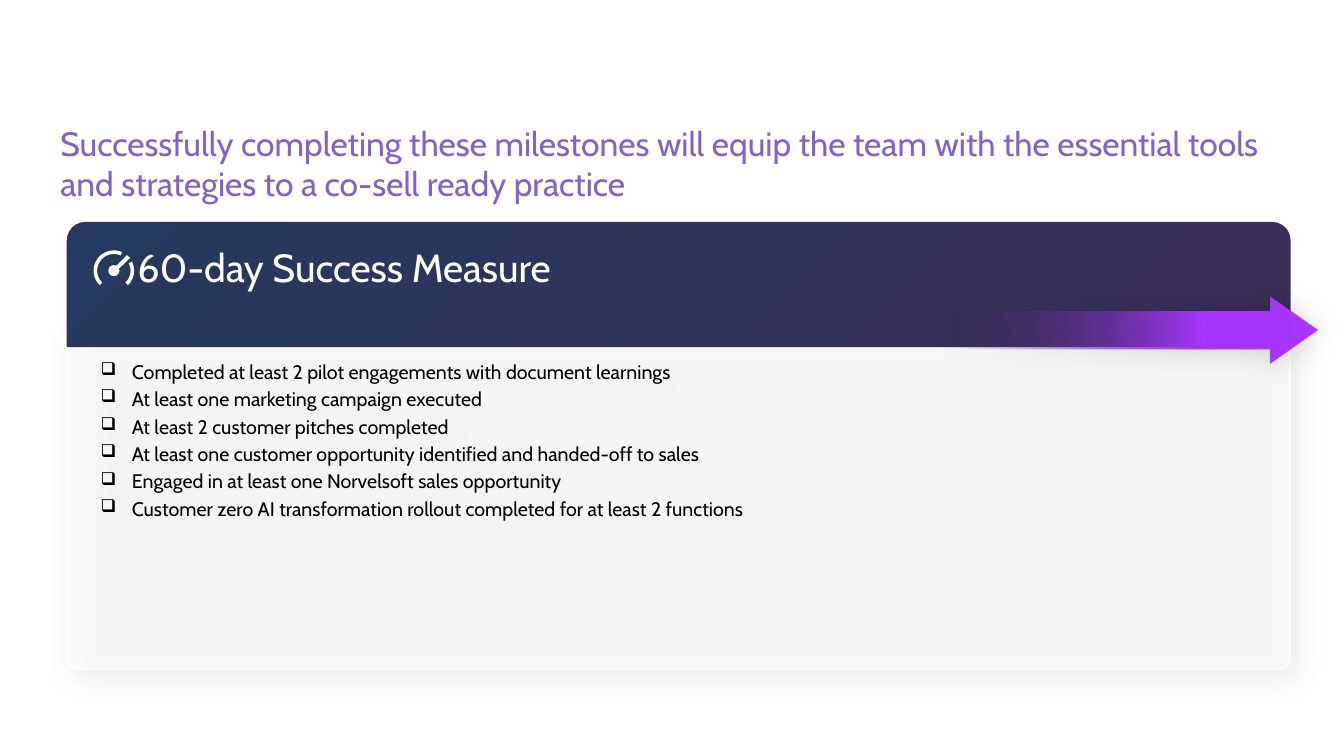
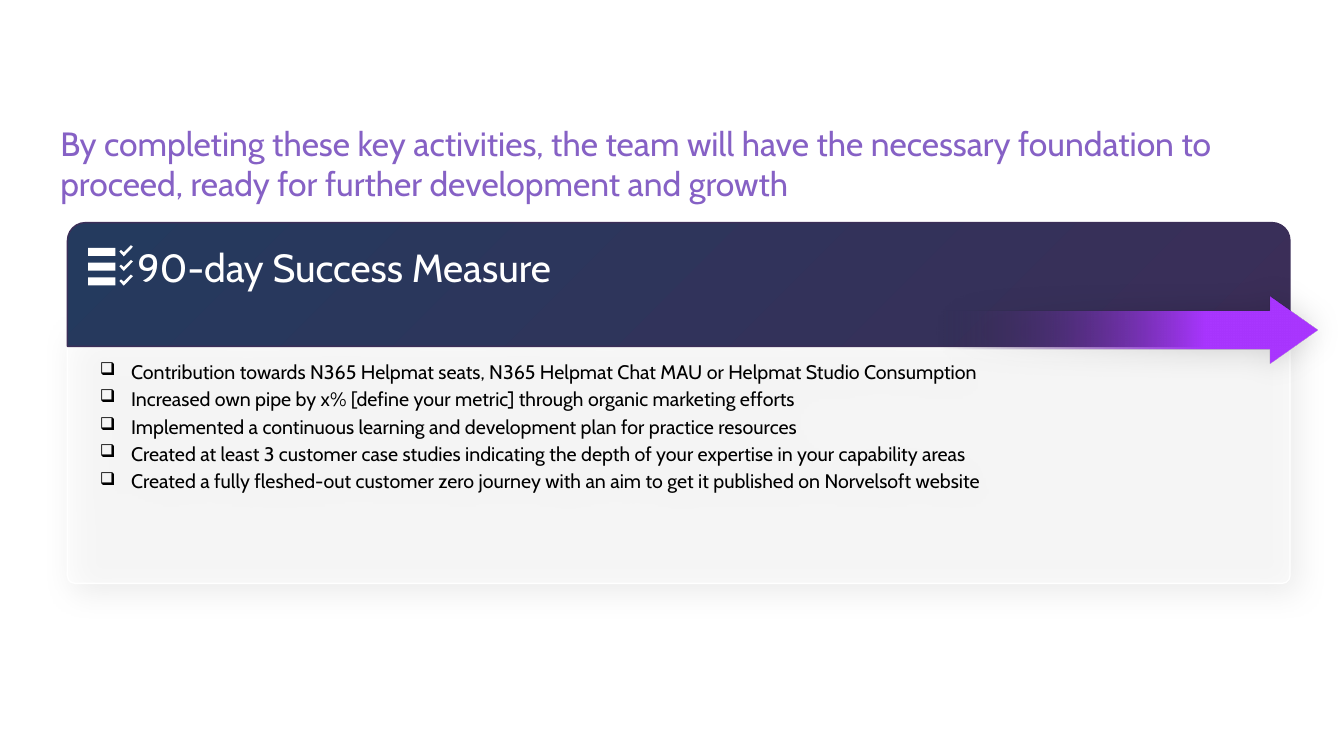
"""Build the 60-day and 90-day success measure slides."""
from math import cos, radians, sin

from lxml import etree
from pptx import Presentation
from pptx.dml.color import RGBColor
from pptx.enum.shapes import MSO_SHAPE
from pptx.enum.text import MSO_ANCHOR, PP_ALIGN
from pptx.oxml import parse_xml
from pptx.oxml.ns import nsdecls, qn
from pptx.util import Cm, Pt

WHITE = RGBColor(0xFF, 0xFF, 0xFF)
BLACK = RGBColor(0x00, 0x00, 0x00)
NAVY = RGBColor(0x24, 0x3A, 0x5E)
PLUM = RGBColor(0x3B, 0x2E, 0x58)
LILAC = RGBColor(0x86, 0x61, 0xC5)
VIOLET = RGBColor(0xA9, 0x36, 0xFF)
FONT = "Cabin"
CARD_LEFT, CARD_WIDTH = 1.7, 30.81


class MilestoneDeck:
    def __init__(self):
        self.prs = Presentation()
        self.prs.slide_width, self.prs.slide_height = Cm(33.87), Cm(19.05)
        self.slide = None

    def add_slide(self):
        self.slide = self.prs.slides.add_slide(self.prs.slide_layouts[6])

    def shape(self, kind, left, top, width, height, fill=None, line=None,
              adjustments=(), shapes=None):
        shapes = self.slide.shapes if shapes is None else shapes
        shape = shapes.add_shape(kind, Cm(left), Cm(top), Cm(width), Cm(height))
        for index, value in enumerate(adjustments):
            shape.adjustments[index] = value
        self.paint(shape, fill, line)
        return shape

    def paint(self, shape, fill=None, line=None):
        shape.shadow.inherit = False
        if fill is None:
            shape.fill.background()
        else:
            shape.fill.solid()
            shape.fill.fore_color.rgb = fill
        if line is None:
            shape.line.fill.background()
        else:
            shape.line.color.rgb = line
            shape.line.width = Pt(1)

    def gradient(self, shape, stops, angle=0):
        marks = "".join(
            f'<a:gs pos="{position * 1000}"><a:srgbClr val="{color}">'
            f'<a:alpha val="{alpha * 1000}"/></a:srgbClr></a:gs>'
            for position, color, alpha in stops)
        properties = shape._element.spPr
        properties.replace(properties.find(qn("a:noFill")), parse_xml(
            f'<a:gradFill {nsdecls("a")} rotWithShape="1"><a:gsLst>{marks}</a:gsLst>'
            f'<a:lin ang="{angle * 60000}" scaled="0"/></a:gradFill>'))

    def shadow(self, shape, alpha, blur, distance, angle):
        effects = shape._element.spPr.find(qn("a:effectLst"))
        effects.append(parse_xml(
            f'<a:outerShdw {nsdecls("a")} blurRad="{Pt(blur)}" dist="{Pt(distance)}" '
            f'dir="{angle * 60000}" algn="ctr" rotWithShape="0"><a:srgbClr val="{BLACK}">'
            f'<a:alpha val="{alpha * 1000}"/></a:srgbClr></a:outerShdw>'))

    def set_text(self, shape, lines, size, color, insets=(0, 0, 0), bullet=None):
        frame = shape.text_frame
        frame.word_wrap = True
        frame.vertical_anchor = MSO_ANCHOR.TOP
        frame.margin_left, frame.margin_top, frame.margin_right = map(Cm, insets)
        frame.margin_bottom = 0
        frame.text = "\n".join(lines)
        for index, paragraph in enumerate(frame.paragraphs):
            paragraph.alignment = PP_ALIGN.LEFT
            if bullet:
                self.bullet(paragraph, bullet)
            if index:
                paragraph.space_before = Pt(size * 0.2)
            for run in paragraph.runs:
                run.font.name = FONT
                run.font.size = Pt(size)
                run.font.color.rgb = color

    def bullet(self, paragraph, mark):
        properties = paragraph._p.get_or_add_pPr()
        properties.set("marL", str(Cm(0.79)))
        properties.set("indent", str(-Cm(0.79)))
        etree.SubElement(properties, qn("a:buSzPct")).set("val", "90000")
        etree.SubElement(properties, qn("a:buChar")).set("char", mark)

    def headline(self, text):
        box = self.slide.shapes.add_textbox(Cm(1.52), Cm(3.1), Cm(CARD_WIDTH), Cm(2.06))
        self.set_text(box, [text], 24, LILAC)

    def checklist(self, items, height):
        panel = self.shape(MSO_SHAPE.ROUND_2_SAME_RECTANGLE, CARD_LEFT, 8.3,
                           CARD_WIDTH, height, fill=WHITE, line=WHITE,
                           adjustments=(0, 0.03))
        tint = panel._element.spPr.find(qn("a:solidFill"))[0]
        etree.SubElement(tint, qn("a:alpha")).set("val", "50000")
        self.shadow(panel, 15, 22.5, 7.5, 54)
        self.set_text(panel, items, 14, BLACK, (0.76, 0.76, 0.76), "❑")

    def band(self, title):
        band = self.shape(MSO_SHAPE.ROUND_2_SAME_RECTANGLE, CARD_LEFT, 5.61,
                          CARD_WIDTH, 3.12, line=PLUM, adjustments=(0.145, 0))
        self.gradient(band, [(0, NAVY, 100), (100, PLUM, 100)], 45)
        self.set_text(band, [title], 28, WHITE, (1.63, 0.38, 0.76))

    def arrow(self):
        arrow = self.shape(MSO_SHAPE.RIGHT_ARROW, 23.77, 7.47, 9.42, 1.7,
                           adjustments=(0.569, 0.71))
        self.gradient(arrow, [(0, PLUM, 0), (70, VIOLET, 100)])
        self.shadow(arrow, 16, 23, 0, 0)

    def outline(self, shapes, points):
        corners = [(Cm(x), Cm(y)) for x, y in points]
        builder = shapes.build_freeform(*corners[0])
        builder.add_line_segments(corners[1:])
        self.paint(builder.convert_to_shape(), WHITE)

    def gauge_icon(self):
        icon = self.slide.shapes.add_group_shape().shapes
        center_x, center_y, hub = 2.87, 6.82, 0.14

        def arc(radius, angles):
            return [(center_x + radius * cos(radians(angle)),
                     center_y + radius * sin(radians(angle))) for angle in angles]

        for start, end in ((134, 294), (-26, 46)):
            angles = range(start, end + 1, 4)
            self.outline(icon, arc(0.51, angles) + arc(0.42, reversed(angles)))
        self.outline(icon, [(2.93, 6.7), (3.2, 6.43), (3.28, 6.5), (3.0, 6.77)])
        self.shape(MSO_SHAPE.OVAL, center_x - hub, center_y - hub, 2 * hub, 2 * hub,
                   WHITE, shapes=icon)

    def checklist_icon(self):
        icon = self.slide.shapes.add_group_shape().shapes
        tick = [(3.3, 0), (3.12, 0.18), (3.05, 0.12),
                (3.01, 0.16), (3.12, 0.28), (3.35, 0.04)]
        for row in range(3):
            top = 6.18 + 0.37 * row
            self.shape(MSO_SHAPE.RECTANGLE, 2.22, top + 0.07, 0.69, 0.2, WHITE, shapes=icon)
            self.outline(icon, [(x, top + y) for x, y in tick])

    def milestone(self, headline, title, items, height, icon):
        self.add_slide()
        self.checklist(items, height)
        self.band(title)
        self.headline(headline)
        self.arrow()
        icon()


def main():
    deck = MilestoneDeck()
    deck.milestone(
        "Successfully completing these milestones will equip the team with the "
        "essential tools and strategies to a co-sell ready practice",
        "60-day Success Measure",
        ["Completed at least 2 pilot engagements with document learnings",
         "At least one marketing campaign executed",
         "At least 2 customer pitches completed",
         "At least one customer opportunity identified and handed-off to sales",
         "Engaged in at least one Norvelsoft sales opportunity",
         "Customer zero AI transformation rollout completed for at least 2 functions"],
        8.56, deck.gauge_icon)
    deck.milestone(
        "By completing these key activities, the team will have the necessary "
        "foundation to proceed, ready for further development and growth",
        "90-day Success Measure",
        ["Contribution towards N365 Helpmat seats, N365 Helpmat Chat MAU or "
         "Helpmat Studio Consumption",
         "Increased own pipe by x% [define your metric] through organic marketing efforts",
         "Implemented a continuous learning and development plan for practice resources",
         "Created at least 3 customer case studies indicating the depth of your "
         "expertise in your capability areas",
         "Created a fully fleshed-out customer zero journey with an aim to get it "
         "published on Norvelsoft website"],
        6.4, deck.checklist_icon)
    deck.prs.save("out.pptx")


if __name__ == "__main__":
    main()
